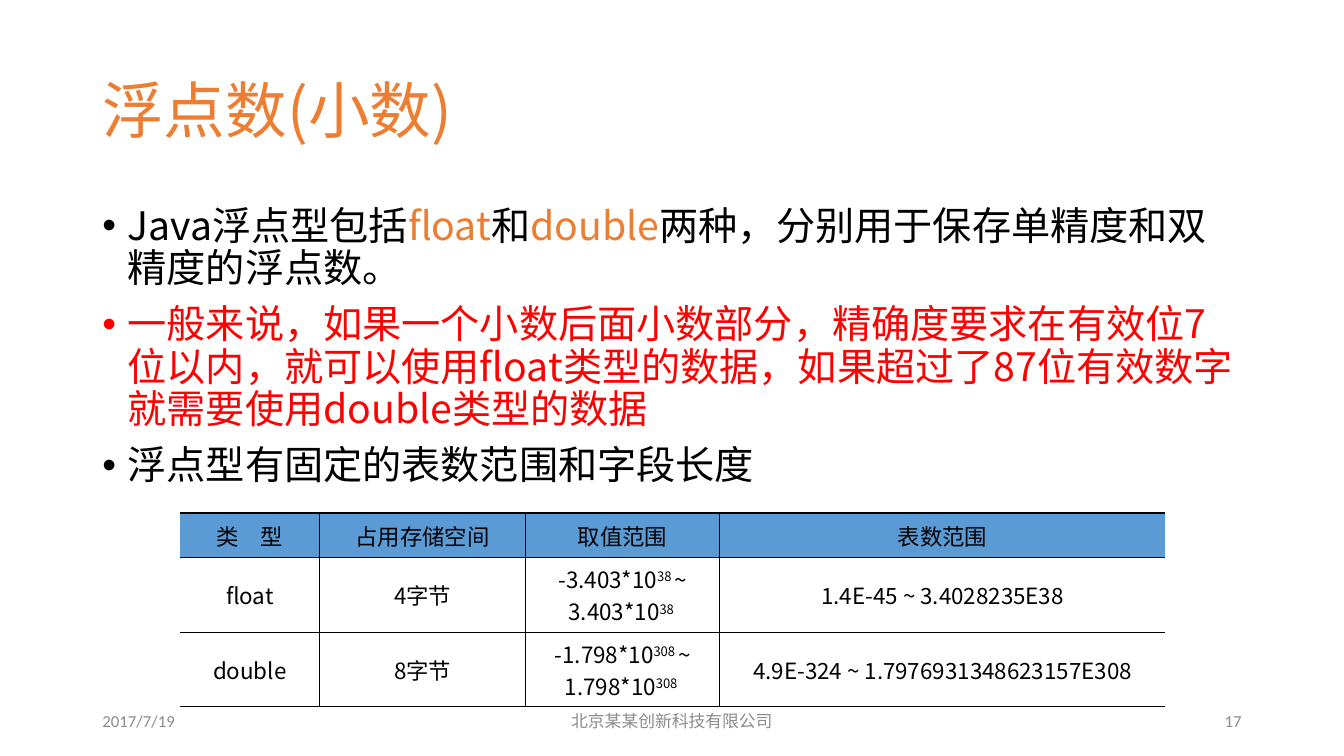
"""Build the slide on floating-point numbers."""
from lxml import etree
from pptx import Presentation
from pptx.dml.color import RGBColor
from pptx.enum.text import MSO_ANCHOR, PP_ALIGN
from pptx.oxml.ns import qn
from pptx.util import Cm, Pt

COLORS = {"accent": "ED7D31", "text": "000000", "warning": "FF0000",
          "footer": "8C8C8C", "header": "5B9BD5", "rule": "000000"}
CJK = "Noto Sans CJK SC"
LATIN = "Calibri"

BULLETS = [
    [("Java浮点型包括", "text"), ("float", "accent"), ("和", "text"), ("double", "accent"),
     ("两种，分别用于保存单精度和双精度的浮点数。", "text")],
    [("一般来说，如果一个小数后面小数部分，精确度要求在有效位7位以内，就可以使用float类型的数据，"
      "如果超过了87位有效数字就需要使用double类型的数据", "warning")],
    [("浮点型有固定的表数范围和字段长度", "text")],
]
FOOTERS = [
    (2.33, 7.62, "2017/7/19", LATIN, PP_ALIGN.LEFT),
    (11.22, 11.43, "北京某某创新科技有限公司", CJK, PP_ALIGN.CENTER),
    (23.92, 7.62, "17", LATIN, PP_ALIGN.RIGHT),
]
COLUMN_WIDTHS = [3.53, 5.18, 4.9, 11.23]
ROW_HEIGHTS = [1.12, 1.88, 1.88]


def value_range(limit, exponent):
    """Return the runs of a symmetric range, with raised exponents."""
    return [(f"-{limit}*10", 0), (f"{exponent} ", 30),
            (f"~ {limit}*10", 0), (f"{exponent} ", 30)]


TABLE_ROWS = [
    ["类\u3000型", "占用存储空间", "取值范围", "表数范围"],
    ["float", "4字节", value_range("3.403", 38), "1.4E-45 ~ 3.4028235E38"],
    ["double", "8字节", value_range("1.798", 308), "4.9E-324 ~ 1.7976931348623157E308"],
]


def add_run(paragraph, text, size, color, font=CJK, baseline=0):
    """Append a formatted run to a paragraph."""
    run = paragraph.add_run()
    run.text = text
    run.font.size = Pt(size)
    run.font.name = font
    run.font.color.rgb = RGBColor.from_string(COLORS[color])
    properties = run.font._element
    etree.SubElement(properties, qn("a:ea"), typeface=font)
    if baseline:
        properties.set("baseline", str(baseline * 1000))


def add_box(slide, left, top, width, height, anchor=MSO_ANCHOR.MIDDLE):
    """Add a wrapping text box and return its text frame."""
    frame = slide.shapes.add_textbox(Cm(left), Cm(top), Cm(width), Cm(height)).text_frame
    frame.word_wrap = True
    frame.vertical_anchor = anchor
    return frame


def add_title(slide, text):
    """Add the slide title."""
    paragraph = add_box(slide, 2.33, 1.01, 22.07, 3.68).paragraphs[0]
    paragraph.line_spacing = 0.9
    add_run(paragraph, text, 44, "accent")


def add_bullets(slide, bullets):
    """Add the bulleted list with coloured runs."""
    frame = add_box(slide, 2.33, 5.07, 29.21, 12.09, MSO_ANCHOR.TOP)
    for index, runs in enumerate(bullets):
        paragraph = frame.add_paragraph() if index else frame.paragraphs[0]
        paragraph.line_spacing = 0.9
        paragraph.space_before = Pt(10)
        properties = paragraph._p.get_or_add_pPr()
        properties.set("marL", str(Cm(0.64)))
        properties.set("indent", str(-Cm(0.64)))
        etree.SubElement(properties, qn("a:buFont"), typeface="Arial")
        etree.SubElement(properties, qn("a:buChar"), char="•")
        for text, color in runs:
            add_run(paragraph, text, 28, color)


def add_footer(slide, left, width, text, font, alignment):
    """Add one footer field."""
    paragraph = add_box(slide, left, 17.66, width, 1.01).paragraphs[0]
    paragraph.alignment = alignment
    add_run(paragraph, text, 12, "footer", font)


def set_border(cell, side, width):
    """Draw one cell border, or hide it when the width is zero."""
    line = etree.SubElement(cell._tc.get_or_add_tcPr(), qn(f"a:ln{side}"), w=str(Pt(width)))
    if width:
        fill = etree.SubElement(line, qn("a:solidFill"))
        etree.SubElement(fill, qn("a:srgbClr"), val=COLORS["rule"])
    else:
        etree.SubElement(line, qn("a:noFill"))


def fill_cell(cell, content, is_header, borders):
    """Set the text, borders and fill of a table cell."""
    cell.vertical_anchor = MSO_ANCHOR.MIDDLE
    cell.margin_left = cell.margin_right = Cm(0.33)
    cell.margin_top = cell.margin_bottom = Cm(0.13)
    paragraph = cell.text_frame.paragraphs[0]
    paragraph.alignment = PP_ALIGN.CENTER
    runs = [(content, 0)] if isinstance(content, str) else content
    for text, baseline in runs:
        add_run(paragraph, text, 16, "text", baseline=baseline)
    for side, width in borders.items():
        set_border(cell, side, width)
    if is_header:
        cell.fill.solid()
        cell.fill.fore_color.rgb = RGBColor.from_string(COLORS["header"])
    else:
        cell.fill.background()


def add_type_table(slide, rows):
    """Add the table of floating-point types, open at both sides."""
    table = slide.shapes.add_table(
        len(rows), len(COLUMN_WIDTHS), Cm(4.53), Cm(12.93),
        Cm(sum(COLUMN_WIDTHS)), Cm(sum(ROW_HEIGHTS))).table
    table.first_row = table.horz_banding = False
    for column, width in zip(table.columns, COLUMN_WIDTHS):
        column.width = Cm(width)
    for row, height in zip(table.rows, ROW_HEIGHTS):
        row.height = Cm(height)
    last = len(COLUMN_WIDTHS) - 1
    for r, row in enumerate(rows):
        for c, content in enumerate(row):
            borders = {"L": int(c > 0), "R": int(c < last),
                       "T": 1 if r else 2.25, "B": 1}
            fill_cell(table.cell(r, c), content, r == 0, borders)


def main():
    """Create and save the presentation."""
    presentation = Presentation()
    presentation.slide_width = Cm(33.87)
    presentation.slide_height = Cm(19.05)
    slide = presentation.slides.add_slide(presentation.slide_layouts[6])
    add_title(slide, "浮点数(小数)")
    add_bullets(slide, BULLETS)
    for footer in FOOTERS:
        add_footer(slide, *footer)
    add_type_table(slide, TABLE_ROWS)
    presentation.save("out.pptx")


main()
